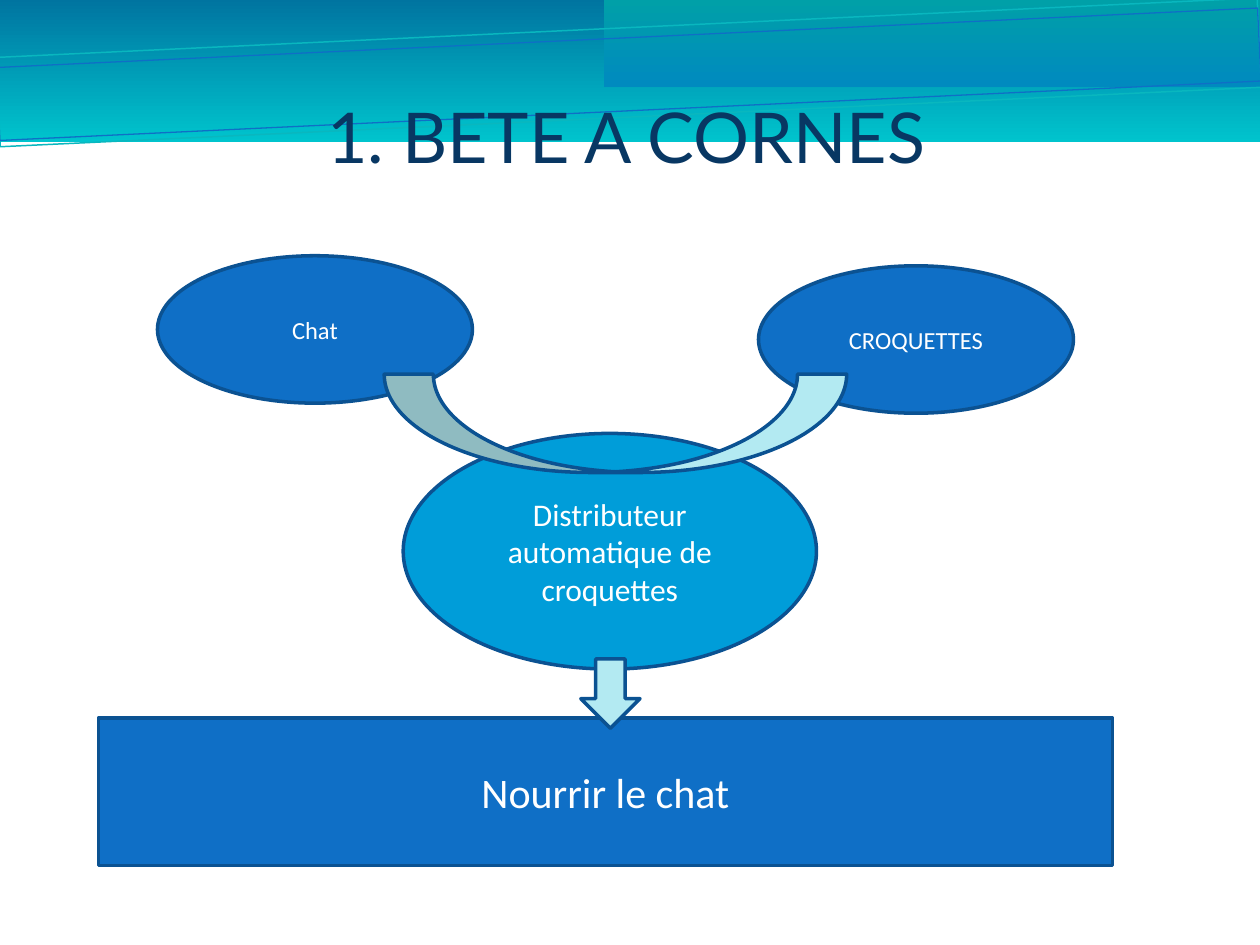
from pptx import Presentation
from pptx.dml.color import RGBColor
from pptx.enum.shapes import MSO_SHAPE
from pptx.enum.text import MSO_ANCHOR, PP_ALIGN
from pptx.util import Inches, Pt

WHITE = RGBColor(0xFF, 0xFF, 0xFF)
NAVY = RGBColor(0x08, 0x37, 0x63)
BLUE = RGBColor(0x0F, 0x6F, 0xC6)
SKY = RGBColor(0x00, 0x9D, 0xD9)
PALE = RGBColor(0xB3, 0xEA, 0xF2)
OUTLINE = RGBColor(0x0B, 0x52, 0x92)
TEAL = RGBColor(0x09, 0xB7, 0xBF)
BAND_TOP = RGBColor(0x00, 0x74, 0xA0)
BAND_BOTTOM = RGBColor(0x00, 0xC4, 0xCD)
PANEL_BOTTOM = RGBColor(0x00, 0x8A, 0xBF)
PANEL_TOP = RGBColor(0x00, 0xA0, 0xA8)


def add_figure(slide, preset, box, fill=None, line=None, width=2):
    """Add a shadowless preset shape in a box given in inches."""
    figure = slide.shapes.add_shape(preset, *map(Inches, box))
    figure.shadow.inherit = False
    if fill is None:
        figure.fill.background()
    else:
        figure.fill.solid()
        figure.fill.fore_color.rgb = fill
    if line is None:
        figure.line.fill.background()
    else:
        figure.line.color.rgb = line
        figure.line.width = Pt(width)
    return figure


def write(figure, text, size, font="Calibri", color=WHITE, anchor=MSO_ANCHOR.MIDDLE):
    """Write one centred paragraph into a shape."""
    frame = figure.text_frame
    frame.word_wrap = True
    frame.vertical_anchor = anchor
    paragraph = frame.paragraphs[0]
    paragraph.text = text
    paragraph.alignment = PP_ALIGN.CENTER
    paragraph.font.size = Pt(size)
    paragraph.font.name = font
    paragraph.font.color.rgb = color


def add_banner(slide, left, top, width, height):
    """Draw the gradient banner with its two tilted outlines."""
    panel_left = left + 4.8
    gradients = [
        ((left, top, width, height), BAND_TOP, BAND_BOTTOM),
        ((panel_left, top, left + width - panel_left, 0.7), PANEL_TOP, PANEL_BOTTOM),
    ]
    for box, upper, lower in gradients:
        band = add_figure(slide, MSO_SHAPE.RECTANGLE, box)
        band.fill.gradient()
        band.fill.gradient_angle = 270
        for stop, color in zip(band.fill.gradient_stops, (upper, lower)):
            stop.color.rgb = color
            stop.position = 0 if color is upper else 1

    for offset, depth, color, weight in [(0.23, 0.71, TEAL, 0.85), (0.31, 0.58, BLUE, 0.75)]:
        box = (left - 0.01, top + offset, width, depth)
        ribbon = add_figure(slide, MSO_SHAPE.RECTANGLE, box, line=color, width=weight)
        ribbon.rotation = 357.3


def add_title(slide, left, top, width, height):
    """Place the slide title at the bottom of its box."""
    title = slide.shapes.add_textbox(*map(Inches, (left, top, width, height)))
    frame = title.text_frame
    frame.margin_left = frame.margin_right = frame.margin_bottom = 0
    write(title, "1. BETE A CORNES", 40, "Lato", NAVY, MSO_ANCHOR.BOTTOM)


def add_horned_beast(slide, left, top, width, height):
    """Draw the product, its user, its matter and its purpose."""
    nodes = [
        (MSO_SHAPE.OVAL, 2.42, 1.41, 3.28, 1.87, SKY, "Distributeur automatique de croquettes", 18),
        (MSO_SHAPE.OVAL, 0.47, 0, 2.5, 1.17, BLUE, "Chat", 14),
        (MSO_SHAPE.OVAL, 5.24, 0.08, 2.5, 1.17, BLUE, "CROQUETTES", 14),
        (MSO_SHAPE.RECTANGLE, 0, height - 1.17, width, 1.17, BLUE, "Nourrir le chat", 24),
    ]
    for preset, x, y, w, h, fill, text, size in nodes:
        node = add_figure(slide, preset, (left + x, top + y, w, h), fill, OUTLINE)
        write(node, text, size)

    horns = add_figure(slide, MSO_SHAPE.CURVED_UP_ARROW,
                       (left + 2.27, top + 0.94, 3.67, 0.78), PALE, OUTLINE)
    for index, value in enumerate((0.5, 0.5, 0)):
        horns.adjustments[index] = value
    add_figure(slide, MSO_SHAPE.DOWN_ARROW,
               (left + 3.83, top + 3.2, 0.47, 0.55), PALE, OUTLINE)


def main():
    """Build the slide and save it."""
    presentation = Presentation()
    presentation.slide_width = Inches(10)
    presentation.slide_height = Inches(7.5)
    slide = presentation.slides.add_slide(presentation.slide_layouts[6])
    add_banner(slide, -0.01, -0.01, 10.02, 1.14)
    add_title(slide, 0.47, 0.16, 9, 1.25)
    add_horned_beast(slide, 0.78, 2.03, 8.05, 4.84)
    presentation.save("out.pptx")


if __name__ == "__main__":
    main()
